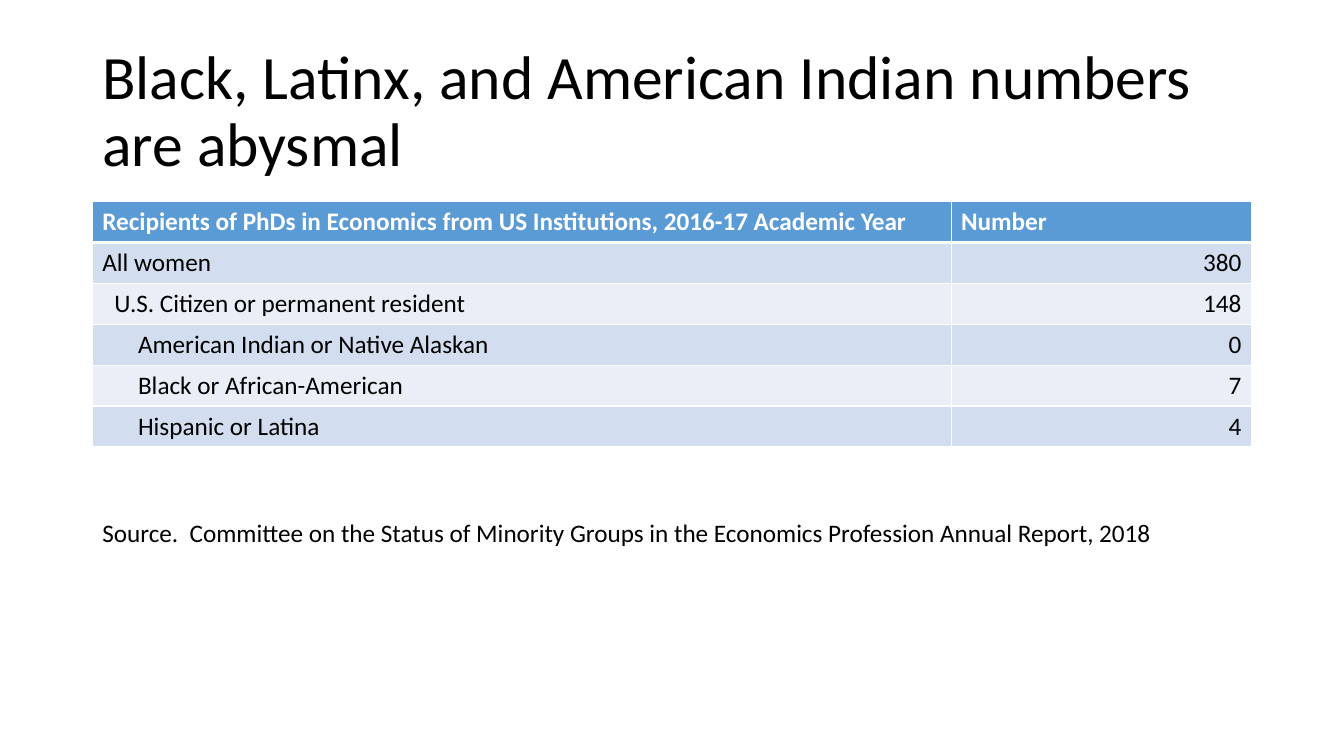
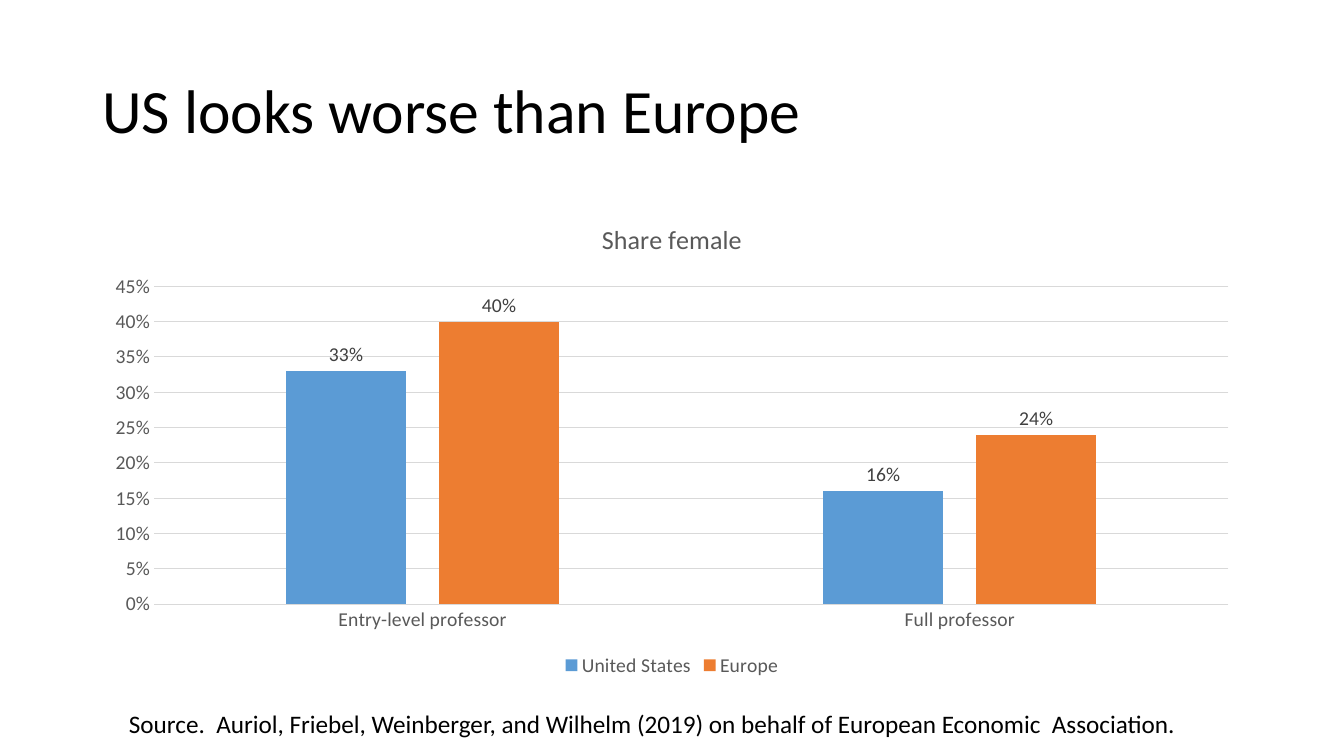
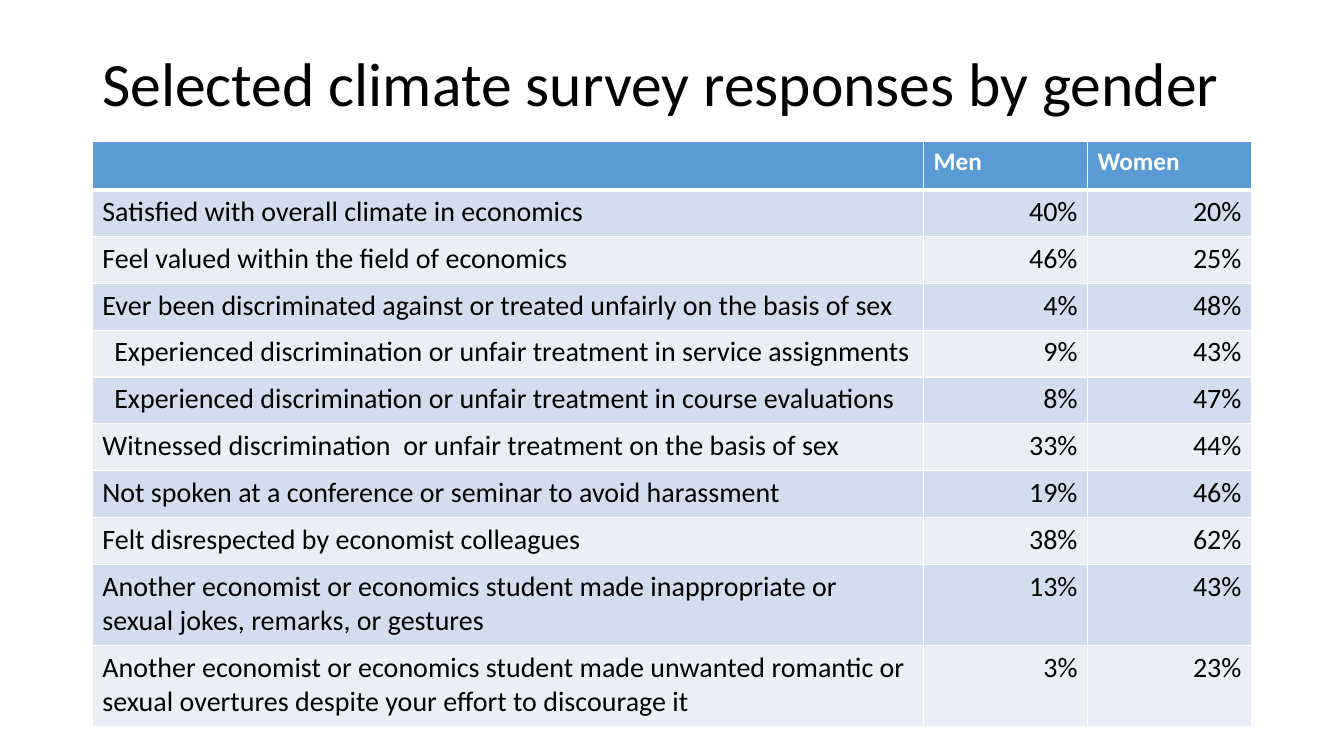
from dataclasses import dataclass

from lxml.etree import SubElement
from pptx import Presentation
from pptx.chart.data import CategoryChartData
from pptx.dml.color import RGBColor
from pptx.enum.chart import XL_CHART_TYPE, XL_LABEL_POSITION, XL_LEGEND_POSITION, XL_TICK_MARK
from pptx.enum.text import MSO_ANCHOR, PP_ALIGN
from pptx.oxml.ns import qn
from pptx.slide import Slide
from pptx.table import _Cell
from pptx.text.text import Font
from pptx.util import Cm, Pt


@dataclass(frozen=True)
class Theme:
    font: str = "Calibri"
    black: str = "000000"
    white: str = "FFFFFF"
    blue: str = "5B9BD5"
    orange: str = "ED7D31"
    band_dark: str = "D2DEEF"
    band_light: str = "EAEFF7"
    chart_text: str = "595959"
    label_text: str = "404040"
    grid: str = "D9D9D9"
    title_size: float = 44
    body_size: float = 18
    survey_size: float = 20
    chart_title_size: float = 18.6
    chart_size: float = 14


@dataclass(frozen=True)
class Area:
    """A rectangle in centimetres."""
    left: float
    top: float
    width: float
    height: float

    def lengths(self) -> tuple[Cm, Cm, Cm, Cm]:
        return Cm(self.left), Cm(self.top), Cm(self.width), Cm(self.height)


@dataclass(frozen=True)
class Row:
    label: str
    values: tuple[str, ...]
    level: int = 0
    height: float = 1.18


@dataclass(frozen=True)
class TableSpec:
    area: Area
    widths: tuple[float, ...]
    header: Row
    rows: tuple[Row, ...]
    size: float


@dataclass(frozen=True)
class Series:
    name: str
    values: tuple[float, ...]
    color: str


THEME = Theme()
LEFT, WIDTH = 2.33, 29.21
CELL_MARGIN, INDENT_STEP = 0.25, 0.3
TITLE_AREA = Area(LEFT, 1.01, WIDTH, 3.68)
SHORT_TITLE_AREA = Area(LEFT, 1.01, WIDTH, 2.34)

PHD_ROW = 1.03
PHD_TABLE = TableSpec(
    Area(LEFT, 5.08, WIDTH, 6 * PHD_ROW),
    (21.64, 7.57),
    Row("Recipients of PhDs in Economics from US Institutions, 2016-17 Academic Year",
        ("Number",), height=PHD_ROW),
    (
        Row("All women", ("380",), height=PHD_ROW),
        Row("U.S. Citizen or permanent resident", ("148",), 1, PHD_ROW),
        Row("American Indian or Native Alaskan", ("0",), 3, PHD_ROW),
        Row("Black or African-American", ("7",), 3, PHD_ROW),
        Row("Hispanic or Latina", ("4",), 3, PHD_ROW),
    ),
    THEME.body_size,
)

SURVEY_TABLE = TableSpec(
    Area(LEFT, 3.56, WIDTH, 14.73),
    (20.95, 4.13, 4.13),
    Row("", ("Men", "Women"), height=1.22),
    (
        Row("Satisfied with overall climate in economics", ("40%", "20%")),
        Row("Feel valued within the field of economics", ("46%", "25%")),
        Row("Ever been discriminated against or treated unfairly on the basis of sex",
            ("4%", "48%")),
        Row("Experienced discrimination or unfair treatment in service assignments",
            ("9%", "43%"), 1),
        Row("Experienced discrimination or unfair treatment in course evaluations",
            ("8%", "47%"), 1),
        Row("Witnessed discrimination  or unfair treatment on the basis of sex",
            ("33%", "44%")),
        Row("Not spoken at a conference or seminar to avoid harassment", ("19%", "46%")),
        Row("Felt disrespected by economist colleagues", ("38%", "62%")),
        Row("Another economist or economics student made inappropriate or sexual jokes, "
            "remarks, or gestures", ("13%", "43%"), height=2.04),
        Row("Another economist or economics student made unwanted romantic or sexual "
            "overtures despite your effort to discourage it", ("3%", "23%"), height=2.04),
    ),
    THEME.survey_size,
)

RANKS = ("Entry-level professor", "Full professor")
SHARES = (
    Series("United States", (0.33, 0.16), THEME.blue),
    Series("Europe", (0.40, 0.24), THEME.orange),
)


def rgb(color: str) -> RGBColor:
    return RGBColor.from_string(color)


def style_font(font: Font, size: float, color: str, bold: bool = False) -> None:
    font.name = THEME.font
    font.size = Pt(size)
    font.bold = bold
    font.color.rgb = rgb(color)


def add_text(page: Slide, area: Area, text: str, size: float,
             anchor: MSO_ANCHOR = MSO_ANCHOR.TOP, line_spacing: float = 1.0) -> None:
    frame = page.shapes.add_textbox(*area.lengths()).text_frame
    frame.word_wrap = True
    frame.vertical_anchor = anchor
    para = frame.paragraphs[0]
    para.line_spacing = line_spacing
    span = para.add_run()
    span.text = text
    style_font(span.font, size, THEME.black)


def add_title(page: Slide, text: str, area: Area = TITLE_AREA) -> None:
    add_text(page, area, text, THEME.title_size, MSO_ANCHOR.MIDDLE, 0.9)


def add_source(page: Slide, text: str, area: Area) -> None:
    add_text(page, area, text, THEME.body_size)


def add_borders(cell: _Cell, bottom: float) -> None:
    """Draw white cell edges; must run before the cell gets its fill."""
    properties = cell._tc.get_or_add_tcPr()
    for edge, points in (("lnL", 1), ("lnR", 1), ("lnT", 1), ("lnB", bottom)):
        line = SubElement(properties, qn(f"a:{edge}"), w=str(Pt(points)))
        fill = SubElement(line, qn("a:solidFill"))
        SubElement(fill, qn("a:srgbClr"), val=THEME.white)


def fill_cell(cell: _Cell, text: str, fill: str, size: float, color: str,
              bold: bool, align: PP_ALIGN, level: int, bottom: float) -> None:
    add_borders(cell, bottom)
    cell.fill.solid()
    cell.fill.fore_color.rgb = rgb(fill)
    cell.margin_left = Cm(CELL_MARGIN + level * INDENT_STEP)
    para = cell.text_frame.paragraphs[0]
    para.alignment = align
    if text:
        span = para.add_run()
        span.text = text
        style_font(span.font, size, color, bold)


def add_data_table(page: Slide, table_spec: TableSpec) -> None:
    rows = (table_spec.header, *table_spec.rows)
    table = page.shapes.add_table(
        len(rows), len(table_spec.widths), *table_spec.area.lengths()).table
    for column, width in zip(table.columns, table_spec.widths):
        column.width = Cm(width)
    for i, row in enumerate(rows):
        table.rows[i].height = Cm(row.height)
        is_header = i == 0
        band = THEME.band_dark if i % 2 else THEME.band_light
        for j, text in enumerate((row.label, *row.values)):
            is_value = j > 0
            fill_cell(
                table.cell(i, j), text,
                fill=THEME.blue if is_header else band,
                size=THEME.body_size if is_header else table_spec.size,
                color=THEME.white if is_header else THEME.black,
                bold=is_header,
                align=PP_ALIGN.RIGHT if is_value and not is_header else PP_ALIGN.LEFT,
                level=0 if is_value else row.level,
                bottom=3 if is_header else 1,
            )


def add_share_chart(page: Slide, area: Area) -> None:
    data = CategoryChartData(number_format="0%")
    data.categories = RANKS
    for share in SHARES:
        data.add_series(share.name, share.values)
    chart = page.shapes.add_chart(
        XL_CHART_TYPE.COLUMN_CLUSTERED, *area.lengths(), data).chart
    style_font(chart.font, THEME.chart_size, THEME.chart_text)

    chart.has_title = True
    span = chart.chart_title.text_frame.paragraphs[0].add_run()
    span.text = "Share female"
    style_font(span.font, THEME.chart_title_size, THEME.chart_text)
    chart.chart_title.include_in_layout = False

    chart.has_legend = True
    chart.legend.position = XL_LEGEND_POSITION.BOTTOM
    chart.legend.include_in_layout = False
    style_font(chart.legend.font, THEME.chart_size, THEME.chart_text)

    for axis in (chart.category_axis, chart.value_axis):
        axis.major_tick_mark = XL_TICK_MARK.NONE
        axis.minor_tick_mark = XL_TICK_MARK.NONE
        style_font(axis.tick_labels.font, THEME.chart_size, THEME.chart_text)
    values = chart.value_axis
    values.minimum_scale, values.maximum_scale, values.major_unit = 0, 0.45, 0.05
    values.tick_labels.number_format = "0%"
    values.tick_labels.number_format_is_linked = False
    values.format.line.fill.background()
    for line in (chart.category_axis.format.line, values.major_gridlines.format.line):
        line.width = Pt(0.75)
        line.color.rgb = rgb(THEME.grid)

    plot = chart.plots[0]
    plot.gap_width, plot.overlap = 219, -27
    plot.vary_by_categories = False
    for series, share in zip(plot.series, SHARES):
        series.format.fill.solid()
        series.format.fill.fore_color.rgb = rgb(share.color)
        labels = series.data_labels
        labels.show_value = True
        labels.position = XL_LABEL_POSITION.OUTSIDE_END
        labels.number_format = "0%"
        labels.number_format_is_linked = False
        style_font(labels.font, THEME.chart_size, THEME.label_text)


def main() -> None:
    deck = Presentation()
    deck.slide_width, deck.slide_height = Cm(33.87), Cm(19.05)
    blank = deck.slide_layouts[6]

    page = deck.slides.add_slide(blank)
    add_title(page, "Black, Latinx, and American Indian numbers are abysmal")
    add_data_table(page, PHD_TABLE)
    add_source(page, "Source.  Committee on the Status of Minority Groups in the Economics "
                     "Profession Annual Report, 2018", Area(LEFT, 12.9, 29.08, 1.03))

    page = deck.slides.add_slide(blank)
    add_title(page, "US looks worse than Europe")
    add_share_chart(page, Area(LEFT, 5.08, WIDTH, 12.09))
    add_source(page, "Source.  Auriol, Friebel, Weinberger, and Wilhelm (2019) on behalf of "
                     "European Economic  Association.", Area(3, 17.73, 29.34, 1.03))

    page = deck.slides.add_slide(blank)
    add_title(page, "Selected climate survey responses by gender", SHORT_TITLE_AREA)
    add_data_table(page, SURVEY_TABLE)

    deck.save("out.pptx")


if __name__ == "__main__":
    main()
